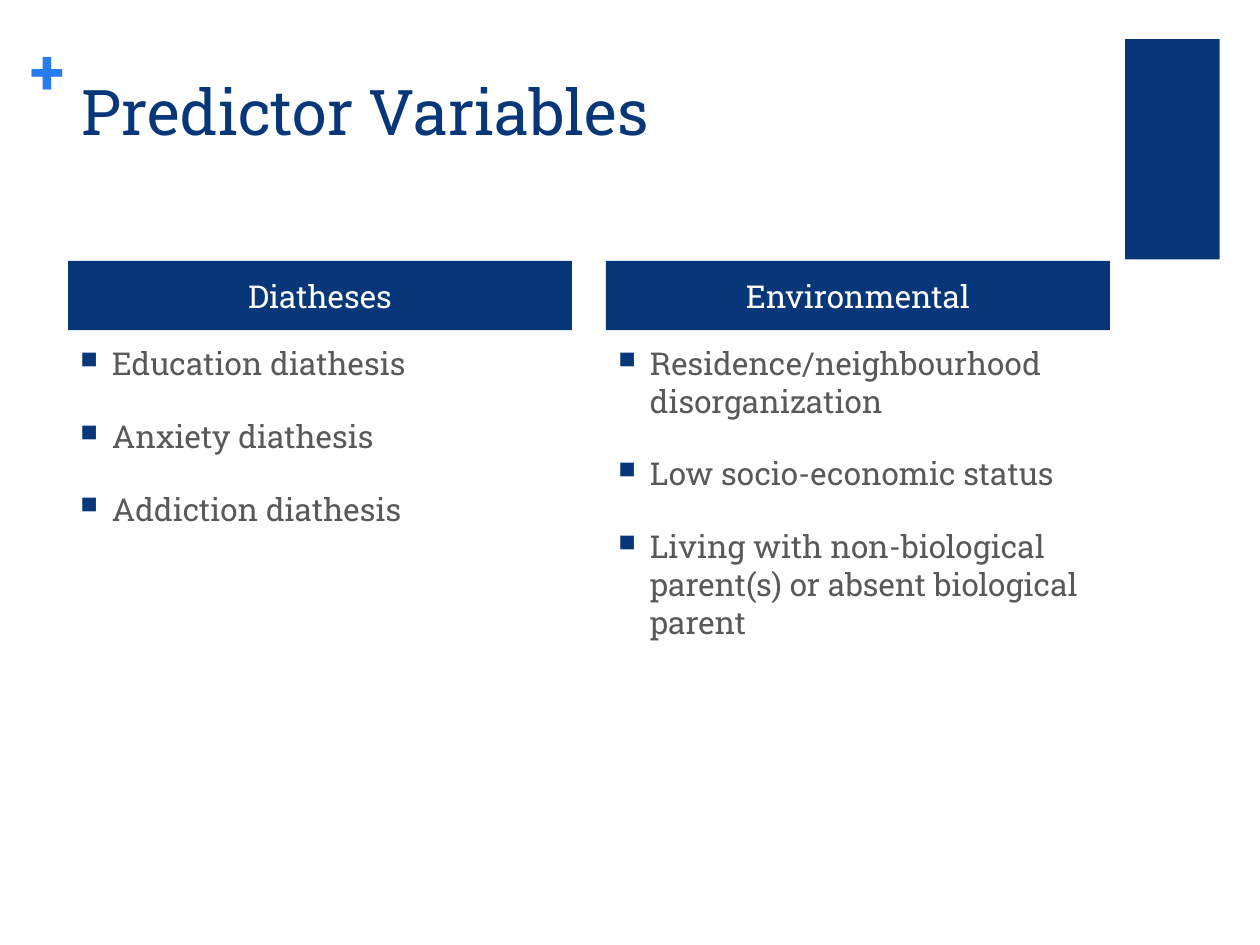
from lxml.etree import SubElement
from pptx import Presentation
from pptx.dml.color import RGBColor
from pptx.enum.shapes import MSO_SHAPE
from pptx.enum.text import MSO_ANCHOR, PP_ALIGN
from pptx.oxml.ns import qn
from pptx.util import Inches, Pt

NAVY = RGBColor(0x07, 0x37, 0x79)
BLUE = RGBColor(0x26, 0x7C, 0xF2)
GRAY = RGBColor(0x59, 0x59, 0x59)
WHITE = RGBColor(0xFF, 0xFF, 0xFF)
FONT = "Roboto Slab"

COLUMN_LEFT, COLUMN_TOP = 0.54, 2.07
COLUMN_WIDTH, COLUMN_HEIGHT, COLUMN_GAP = 4, 4.63, 0.27
HEADER_HEIGHT, HEADER_GAP = 0.55, 0.06
COLUMNS = [
    ("Diatheses", ["Education diathesis", "Anxiety diathesis", "Addiction diathesis"]),
    ("Environmental", [
        "Residence/neighbourhood disorganization",
        "Low socio-economic status",
        "Living with non-biological parent(s) or absent biological parent",
    ]),
]


def style_paragraph(paragraph, size, color, bold=False):
    """Set the font of a whole paragraph."""
    font = paragraph.font
    font.name, font.size, font.bold = FONT, Pt(size), bold
    font.color.rgb = color


def add_bullet(paragraph):
    """Give a paragraph a hanging navy square bullet."""
    properties = paragraph._p.get_or_add_pPr()
    properties.set("marL", str(Inches(0.25)))
    properties.set("indent", str(-Inches(0.25)))
    color = SubElement(properties, qn("a:buClr"))
    SubElement(color, qn("a:srgbClr"), val=str(NAVY))
    SubElement(properties, qn("a:buSzPct"), val="75000")
    SubElement(properties, qn("a:buChar"), char="■")


def add_text_frame(slide, box):
    """Add a wrapping text box and return its text frame."""
    frame = slide.shapes.add_textbox(*map(Inches, box)).text_frame
    frame.word_wrap = True
    return frame


def add_block(slide, box):
    """Add a plain navy rectangle."""
    block = slide.shapes.add_shape(MSO_SHAPE.RECTANGLE, *map(Inches, box))
    block.shadow.inherit = False
    block.fill.solid()
    block.fill.fore_color.rgb = NAVY
    block.line.fill.background()
    return block


def add_plus(slide, box):
    """Add the bold plus sign beside the title."""
    frame = add_text_frame(slide, box)
    frame.margin_left = frame.margin_right = frame.margin_top = frame.margin_bottom = 0
    frame.text = "+"
    style_paragraph(frame.paragraphs[0], 36, BLUE, bold=True)


def add_title(slide, box, text):
    """Add the slide title."""
    frame = add_text_frame(slide, box)
    frame.text = text
    style_paragraph(frame.paragraphs[0], 36, NAVY)


def add_column(slide, box, heading, items):
    """Add a heading bar with a bulleted list below it."""
    left, top, width, height = box
    frame = add_block(slide, (left, top, width, HEADER_HEIGHT)).text_frame
    frame.margin_top = frame.margin_bottom = 0
    frame.vertical_anchor = MSO_ANCHOR.MIDDLE
    frame.text = heading
    frame.paragraphs[0].alignment = PP_ALIGN.CENTER
    style_paragraph(frame.paragraphs[0], 18, WHITE)

    offset = HEADER_HEIGHT + HEADER_GAP
    frame = add_text_frame(slide, (left, top + offset, width, height - offset))
    frame.text = "\n".join(items)
    for index, paragraph in enumerate(frame.paragraphs):
        add_bullet(paragraph)
        paragraph.space_before = Pt(20 if index else 0)
        style_paragraph(paragraph, 18, GRAY)


def main():
    """Build and save the slide."""
    presentation = Presentation()
    presentation.slide_width, presentation.slide_height = Inches(10), Inches(7.5)
    slide = presentation.slides.add_slide(presentation.slide_layouts[6])
    add_block(slide, (8.93, 0.31, 0.75, 1.75))
    add_plus(slide, (0.24, 0.25, 0.29, 0.61))
    add_title(slide, (0.55, 0.53, 8.26, 1.22), "Predictor Variables")
    for index, (heading, items) in enumerate(COLUMNS):
        left = COLUMN_LEFT + index * (COLUMN_WIDTH + COLUMN_GAP)
        add_column(slide, (left, COLUMN_TOP, COLUMN_WIDTH, COLUMN_HEIGHT), heading, items)
    presentation.save("out.pptx")


if __name__ == "__main__":
    main()
